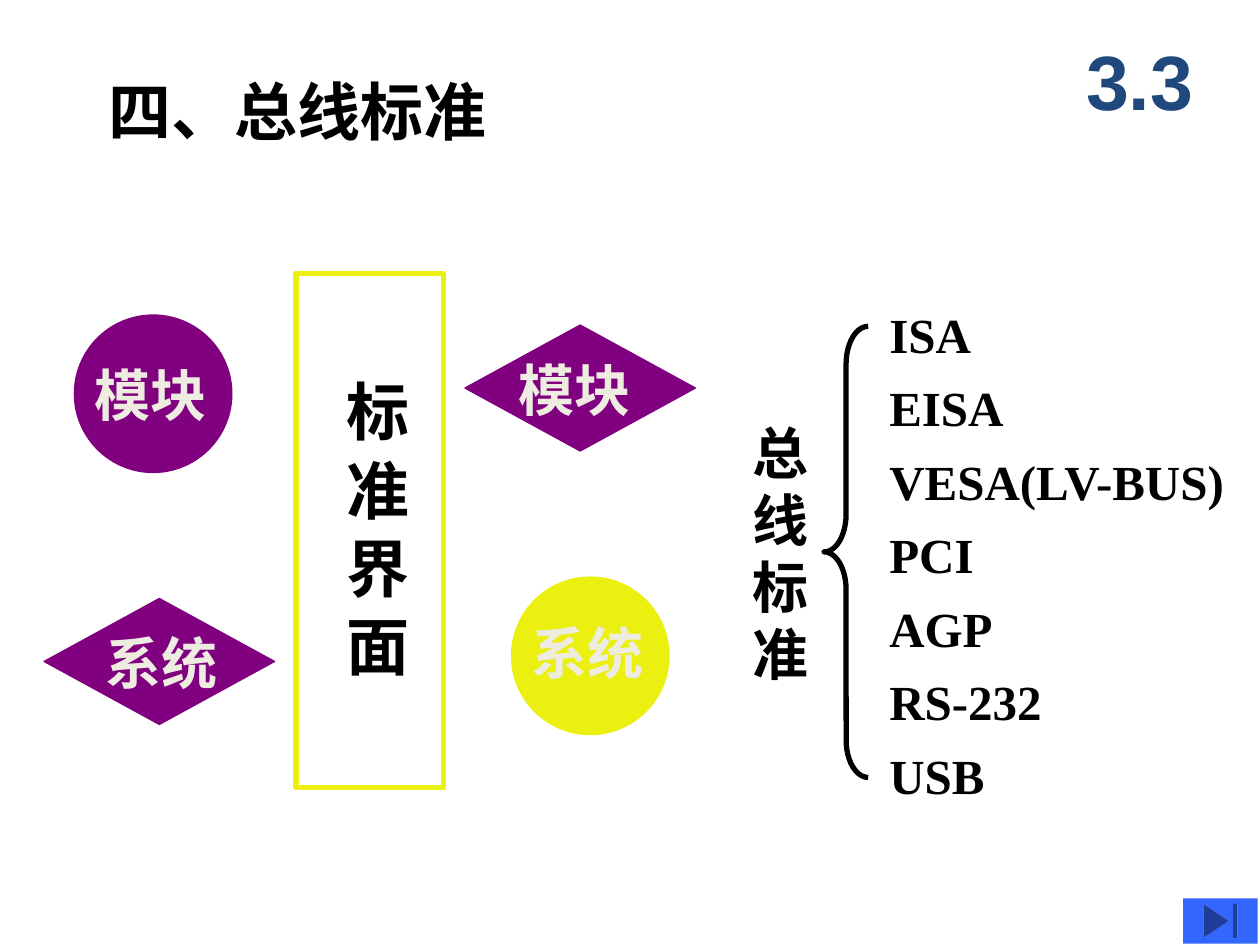
from pptx import Presentation
from pptx.dml.color import RGBColor
from pptx.enum.shapes import MSO_SHAPE
from pptx.enum.text import MSO_ANCHOR, MSO_AUTO_SIZE, PP_ALIGN
from pptx.util import Inches, Pt

BLACK = RGBColor(0x00, 0x00, 0x00)
PURPLE = RGBColor(0x80, 0x00, 0x80)
YELLOW = RGBColor(0xEB, 0xF0, 0x10)
CREAM = RGBColor(0xEE, 0xEC, 0xE1)
NAVY = RGBColor(0x1F, 0x49, 0x7D)
BLUE = RGBColor(0x33, 0x66, 0xFF)

BUS_STANDARDS = ["ISA", "EISA", "VESA(LV-BUS)", "PCI", "AGP", "RS-232", "USB"]


def add_figure(shapes, kind, box, fill=None, line=None, line_width=0.75):
    """Add a preset shape in box (left, top, width, height in inches)."""
    shape = shapes.add_shape(kind, *map(Inches, box))
    shape.shadow.inherit = False
    if fill is None:
        shape.fill.background()
    else:
        shape.fill.solid()
        shape.fill.fore_color.rgb = fill
    if line is None:
        shape.line.fill.background()
    else:
        shape.line.color.rgb = line
        shape.line.width = Pt(line_width)
    return shape


def add_text(shapes, box, lines, size, color=BLACK, font="Times New Roman",
             wrap=True, spacing=None):
    """Add a bold text box with one paragraph for each line."""
    text_box = shapes.add_textbox(*map(Inches, box))
    frame = text_box.text_frame
    frame.word_wrap = wrap
    frame.auto_size = MSO_AUTO_SIZE.SHAPE_TO_FIT_TEXT
    for index, line in enumerate(lines):
        paragraph = frame.add_paragraph() if index else frame.paragraphs[0]
        if spacing:
            paragraph.line_spacing = spacing
        run = paragraph.add_run()
        run.text = line
        run.font.size = Pt(size)
        run.font.bold = True
        run.font.name = font
        run.font.color.rgb = color
    return frame


def add_header(shapes, left, top):
    """Place the title and the section number."""
    add_text(shapes, (left, top, 5.52, 0.7), [" 四、总线标准"], 36)
    number = add_text(shapes, (left + 7.77, top - 0.36, 1.25, 0.92),
                      ["3.3"], 44, NAVY, "Arial")
    number.auto_size = MSO_AUTO_SIZE.NONE
    number.vertical_anchor = MSO_ANCHOR.MIDDLE
    number.paragraphs[0].alignment = PP_ALIGN.CENTER


def add_node(shapes, kind, box, label, label_offset, fill):
    """Group a filled figure with its label, offset from the figure's corner."""
    group = shapes.add_group_shape().shapes
    add_figure(group, kind, box, fill, fill)
    label_box = (box[0] + label_offset[0], box[1] + label_offset[1], 1.09, 0.63)
    add_text(group, label_box, [label], 32, CREAM, wrap=False)


def add_interface(shapes, left, top):
    """Place the framed vertical label of the standard interface."""
    group = shapes.add_group_shape().shapes
    add_figure(group, MSO_SHAPE.RECTANGLE, (left, top, 1.17, 4.08),
               line=YELLOW, line_width=3)
    frame = add_text(group, (left + 0.18, top + 0.75, 0.8, 3.5),
                     ["标 准 界 面"], 36)
    frame.paragraphs[0].space_before = Pt(18)
    body = frame.paragraphs[0]._p.getparent().bodyPr
    body.set("vert", "eaVert")


def add_module_diagram(shapes, left, top):
    """Place the four nodes around the standard interface."""
    circle, diamond = MSO_SHAPE.OVAL, MSO_SHAPE.DIAMOND
    nodes = [
        (circle, 0.24, 0.33, 1.25, 1.25, "模块", (0.06, 0.31), PURPLE),
        (circle, 3.71, 2.41, 1.25, 1.25, "系统", (0.06, 0.28), YELLOW),
        (diamond, 0, 2.58, 1.83, 1, "系统", (0.39, 0.19), PURPLE),
        (diamond, 3.34, 0.41, 1.83, 1, "模块", (0.33, 0.19), PURPLE),
    ]
    for kind, x, y, width, height, label, offset, fill in nodes:
        add_node(shapes, kind, (left + x, top + y, width, height),
                 label, offset, fill)
    add_interface(shapes, left + 2, top)


def add_standards_list(shapes, left, top):
    """Place the vertical heading, the brace and the list of bus standards."""
    add_text(shapes, (left, top + 1.02, 0.59, 2.23), list("总线标准"), 32)
    brace = add_figure(shapes, MSO_SHAPE.LEFT_BRACE,
                       (left + 0.67, top + 0.34, 0.35, 3.58),
                       line=BLACK, line_width=3)
    brace.adjustments[0] = 0.851
    brace.adjustments[1] = 0.5
    add_text(shapes, (left + 1.09, top, 3.49, 4.18), BUS_STANDARDS, 28,
             spacing=1.25)


def build_slide(presentation):
    """Build the bus standards slide."""
    slide = presentation.slides.add_slide(presentation.slide_layouts[6])
    add_header(slide.shapes, 0.65, 0.53)
    add_module_diagram(slide.shapes, 0.35, 2.17)
    add_standards_list(slide.shapes, 5.87, 2.25)
    add_figure(slide.shapes, MSO_SHAPE.ACTION_BUTTON_END,
               (9.39, 7.13, 0.59, 0.36), BLUE)


presentation = Presentation()
presentation.slide_width = Inches(10)
presentation.slide_height = Inches(7.5)
build_slide(presentation)
presentation.save("out.pptx")
